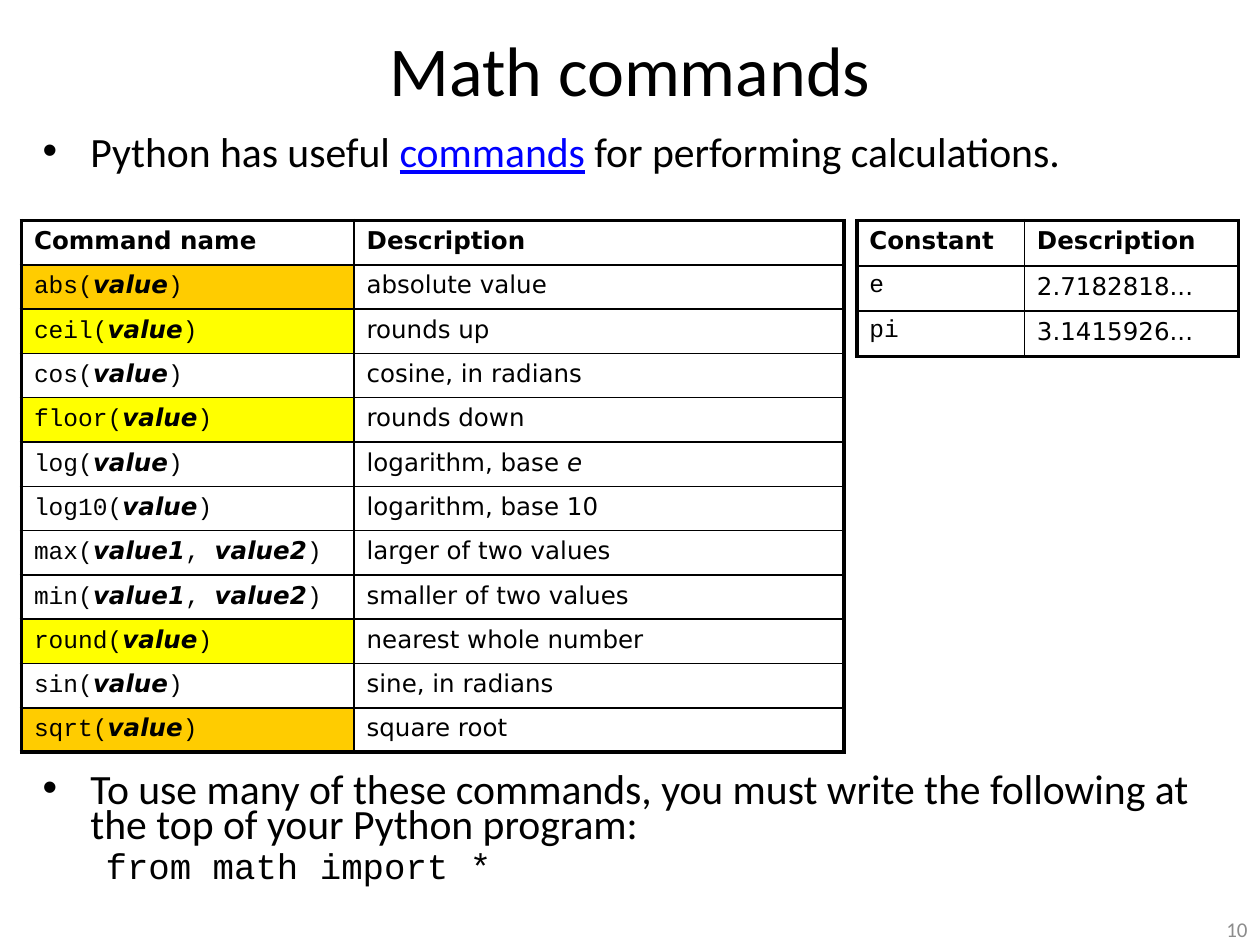
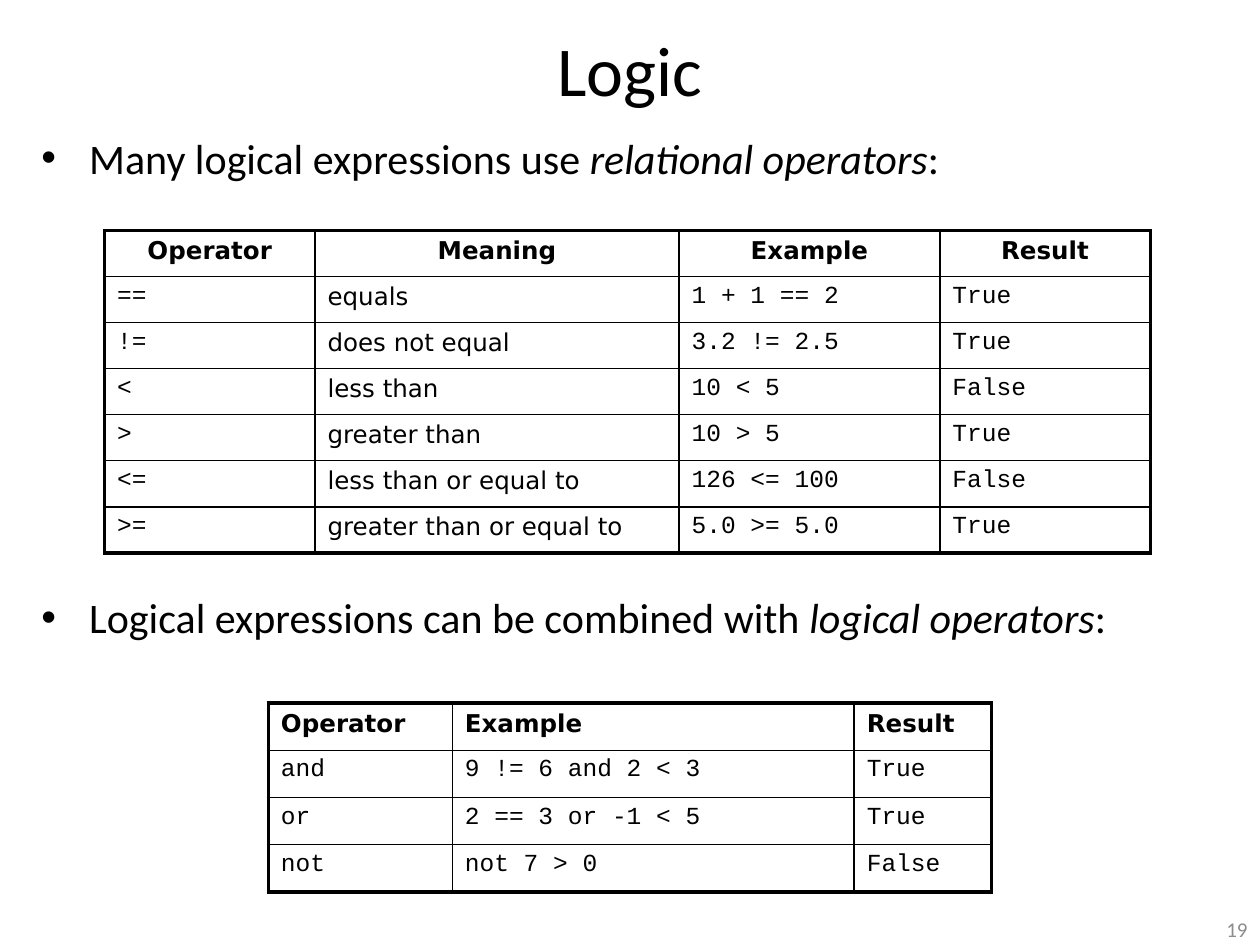
from pptx import Presentation
from pptx import util as u
from pptx.dml import color
from pptx.enum import text
from pptx.oxml import xmlchemy as xc
from pptx.oxml import ns
from lxml import etree

BLACK, GREY, BLUE = "000000", "8C8C8C", "0000FF"
ORANGE, YELLOW = "FFCC00", "FFFF00"
BODY, CODE, CELL = "Calibri", "Courier New", "DejaVu Sans"
CELL_SIZE = 14
THIN, THICK = 1, 2.25
LEFT, CENTER, RIGHT = text.PP_ALIGN.LEFT, text.PP_ALIGN.CENTER, text.PP_ALIGN.RIGHT


def rgb(value):
    return color.RGBColor.from_string(value)


def add_run(p, words, font, size, fill=BLACK, bold=False, italic=False, underline=False):
    r = p.add_run()
    r.text = words
    f = r.font
    f.name, f.size = font, u.Pt(size)
    f.bold, f.italic, f.underline = bold, italic, underline
    f.color.rgb = rgb(fill)


def add_box(s, left, top, width, height):
    sp = s.shapes.add_textbox(*map(u.Inches, (left, top, width, height)))
    sp.text_frame.word_wrap = True
    return sp.text_frame


def set_indent(p, margin, first=0.0, bullet=None):
    pPr = p._p.get_or_add_pPr()
    pPr.set("marL", str(u.Inches(margin)))
    pPr.set("indent", str(u.Inches(first)))
    if bullet:
        font = etree.SubElement(pPr, ns.qn("a:buFont"))
        font.set("typeface", "Arial")
        etree.SubElement(pPr, ns.qn("a:buChar")).set("char", bullet)


def add_frame(prs, title, number):
    s = prs.slides.add_slide(prs.slide_layouts[5])
    sp = s.shapes.title
    sp.left, sp.top, sp.width, sp.height = map(u.Inches, (0, 0, 10, 1.08))
    sp.text_frame.vertical_anchor = text.MSO_ANCHOR.MIDDLE
    p = sp.text_frame.paragraphs[0]
    p.alignment = CENTER
    add_run(p, title, BODY, 40)
    tf = add_box(s, 7.67, 7.25, 2.33, 0.25)
    tf.vertical_anchor = text.MSO_ANCHOR.MIDDLE
    p = tf.paragraphs[0]
    p.alignment = RIGHT
    add_run(p, number, BODY, 12, GREY)
    return s


def add_bullets(s, box, bullets, gap, size, spacing):
    tf = add_box(s, *box)
    for i, runs in enumerate(bullets):
        p = tf.add_paragraph() if i else tf.paragraphs[0]
        p.line_spacing = spacing
        p.space_before = u.Pt(gap if i else 1)
        set_indent(p, 0.38, -0.38, "•")
        for words, style in runs:
            add_run(p, words, BODY, size, **style)
    return tf


def set_borders(cell, widths):
    tcPr = cell._tc.get_or_add_tcPr()
    for i, (side, width) in enumerate(widths.items()):
        ln = etree.Element(ns.qn(f"a:ln{side}"), w=str(u.Pt(width)))
        fill = etree.SubElement(ln, ns.qn("a:solidFill"))
        etree.SubElement(fill, ns.qn("a:srgbClr"), val=BLACK)
        tcPr.insert(i, ln)


def add_grid(s, box, cols, rows, fills=None, header_align=LEFT):
    shape = s.shapes.add_table(len(rows), len(cols), *map(u.Inches, box))
    table = shape.table
    table.first_row = table.horz_banding = False
    for column, width in zip(table.columns, cols):
        column.width = u.Inches(width)
    last_row, last_col = len(rows) - 1, len(cols) - 1
    for i, row in enumerate(rows):
        table.rows[i].height = u.Inches(box[3] / len(rows))
        for j, runs in enumerate(row):
            cell = table.cell(i, j)
            fill = (fills or {}).get(i) if j == 0 else None
            if fill:
                cell.fill.solid()
                cell.fill.fore_color.rgb = rgb(fill)
            else:
                cell.fill.background()
            edges = {"L": j == 0, "R": j == last_col, "T": i == 0, "B": i == last_row}
            set_borders(cell, {k: THICK if outer else THIN for k, outer in edges.items()})
            p = cell.text_frame.paragraphs[0]
            p.alignment = LEFT if i else header_align
            for words, font, style in runs:
                add_run(p, words, font, CELL_SIZE, **style)


def header(*names):
    return [[(name, CELL, {"bold": True})] for name in names]


def plain(words):
    return [(words, CELL, {})]


def code(words):
    return [(words, CODE, {})]


def call(name, *args):
    runs = code(name + "(")
    for i, arg in enumerate(args or ("value",)):
        if i:
            runs += code(", ")
        runs.append((arg, CELL, {"bold": True, "italic": True}))
    return runs + code(")")


def math_slide(prs):
    s = add_frame(prs, "Math commands", "10")
    tf = add_bullets(s, (0.24, 1.06, 9.5, 6.28), [
        [("Python has useful ", {}),
         ("commands", {"fill": BLUE, "underline": True}),
         (" for performing calculations.", {})],
        [("To use many of these commands, you must write the following at "
          "the top of your Python program:", {})],
    ], gap=344, size=23.8, spacing=0.7)
    p = tf.add_paragraph()
    p.line_spacing, p.space_before = 0.7, u.Pt(5)
    set_indent(p, 0.5)
    add_run(p, "from math import *", CODE, 20.4)

    pair = ("value1", "value2")
    commands = [
        (call("abs"), plain("absolute value")),
        (call("ceil"), plain("rounds up")),
        (call("cos"), plain("cosine, in radians")),
        (call("floor"), plain("rounds down")),
        (call("log"), plain("logarithm, base ") + [("e", CELL, {"italic": True})]),
        (call("log10"), plain("logarithm, base 10")),
        (call("max", *pair), plain("larger of two values")),
        (call("min", *pair), plain("smaller of two values")),
        (call("round"), plain("nearest whole number")),
        (call("sin"), plain("sine, in radians")),
        (call("sqrt"), plain("square root")),
    ]
    add_grid(s, (0.17, 1.75, 6.53, 4.22), (2.64, 3.89),
             [header("Command name", "Description"), *commands],
             fills={1: ORANGE, 2: YELLOW, 4: YELLOW, 9: YELLOW, 11: ORANGE})
    constants = [("e", "2.7182818..."), ("pi", "3.1415926...")]
    add_grid(s, (6.8, 1.75, 3.03, 1.08), (1.33, 1.7),
             [header("Constant", "Description"),
              *[(code(name), plain(value)) for name, value in constants]])


def logic_slide(prs):
    s = add_frame(prs, "Logic", "19")
    italic = {"italic": True}
    add_bullets(s, (0.23, 1, 9.5, 6.25), [
        [("Many logical expressions use ", {}), ("relational operators", italic), (":", {})],
        [("Logical expressions can be combined with ", {}),
         ("logical operators", italic), (":", {})],
    ], gap=233.6, size=24, spacing=1.0)

    logical = [
        ("and", "9 != 6 and 2 < 3", "True"),
        ("or", "2 == 3 or -1 < 5", "True"),
        ("not", "not 7 > 0", "False"),
    ]
    add_grid(s, (2.13, 5.58, 5.74, 1.5), (1.46, 3.19, 1.09),
             [header("Operator", "Example", "Result"),
              *[[code(words) for words in row] for row in logical]])
    relational = [
        ("==", "equals", "1 + 1 == 2", "True"),
        ("!=", "does not equal", "3.2 != 2.5", "True"),
        ("<", "less than", "10 < 5", "False"),
        (">", "greater than", "10 > 5", "True"),
        ("<=", "less than or equal to", "126 <= 100", "False"),
        (">=", "greater than or equal to", "5.0 >= 5.0", "True"),
    ]
    add_grid(s, (0.83, 1.83, 8.3, 2.56), (1.67, 2.89, 2.07, 1.67),
             [header("Operator", "Meaning", "Example", "Result"),
              *[(code(op), plain(meaning), code(example), code(result))
                for op, meaning, example, result in relational]],
             header_align=CENTER)


def main():
    prs = Presentation()
    prs.slide_width, prs.slide_height = u.Inches(10), u.Inches(7.5)
    math_slide(prs)
    logic_slide(prs)
    prs.save("out.pptx")


if __name__ == "__main__":
    main()
